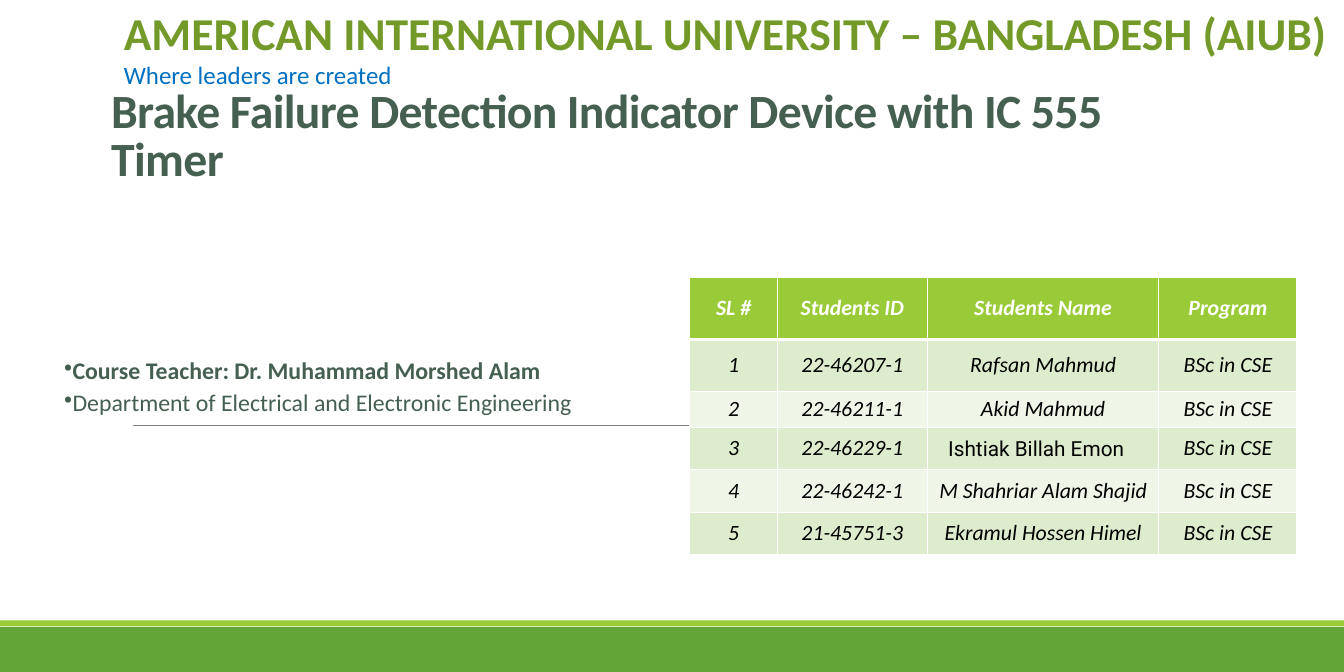
from lxml import etree
from pptx import Presentation
from pptx.dml.color import RGBColor
from pptx.enum.shapes import MSO_CONNECTOR, MSO_SHAPE
from pptx.enum.text import MSO_ANCHOR, PP_ALIGN
from pptx.oxml.ns import qn
from pptx.util import Pt

TOP, MIDDLE, BOTTOM = MSO_ANCHOR.TOP, MSO_ANCHOR.MIDDLE, MSO_ANCHOR.BOTTOM
LEFT, CENTER = PP_ALIGN.LEFT, PP_ALIGN.CENTER
RECT, STRAIGHT = MSO_SHAPE.RECTANGLE, MSO_CONNECTOR.STRAIGHT

PX = 9144  # 100 px to the inch
COLORS = {
    "white": "FFFFFF", "black": "000000", "gray": "808080", "blue": "0070C0",
    "green": "63A537", "lime": "99CB38", "olive": "739A28", "forest": "455F51",
    "band": "DEECCE", "pale": "EFF6E8",
}


def rgb(name):
    return RGBColor.from_string(COLORS[name])


class Deck:
    """Holds the presentation, the current slide and the shared style."""

    font = "Calibri"

    def __init__(self, w, h):
        self.prs = Presentation()
        self.prs.slide_width, self.prs.slide_height = w * PX, h * PX
        self.s = self.prs.slides.add_slide(self.prs.slide_layouts[6])

    def rect(self, x, y, w, h, color):
        sp = self.s.shapes.add_shape(RECT, x * PX, y * PX, w * PX, h * PX)
        sp.shadow.inherit = False
        sp.fill.solid()
        sp.fill.fore_color.rgb = rgb(color)
        sp.line.fill.background()

    def line(self, x1, y1, x2, y2, color, width):
        c = self.s.shapes.add_connector(STRAIGHT, x1 * PX, y1 * PX, x2 * PX, y2 * PX)
        c.line.color.rgb = rgb(color)
        c.line.width = Pt(width)
        etree.SubElement(c._element.spPr, qn("a:effectLst"))

    def paragraph(self, p, text, color, para=None, spacing=None, bullet=None, **font):
        for key, value in (para or {}).items():
            setattr(p, key, value)
        r = p.add_run()
        r.text = text
        for key, value in {"name": self.font, **font}.items():
            setattr(r.font, key, Pt(value) if key == "size" else value)
        r.font.color.rgb = rgb(color)
        if spacing:
            r._r.get_or_add_rPr().set("spc", str(spacing))
        if bullet:
            pPr = p._p.get_or_add_pPr()
            pPr.set("marL", "0")
            pPr.set("indent", str(-25 * PX))
            etree.SubElement(pPr, qn("a:buChar"), char=bullet)

    def text(self, x, y, w, h, anchor, paragraphs):
        tf = self.s.shapes.add_textbox(x * PX, y * PX, w * PX, h * PX).text_frame
        tf.word_wrap, tf.vertical_anchor = True, anchor
        for i, fmt in enumerate(paragraphs):
            p = tf.add_paragraph() if i else tf.paragraphs[0]
            self.paragraph(p, **fmt)

    def cell(self, cell, fill, bottom, margins, fmt):
        names = ("margin_left", "margin_top", "margin_right", "margin_bottom")
        for name, value in zip(names, margins):
            setattr(cell, name, value * PX)
        cell.vertical_anchor = MIDDLE
        tcPr = cell._tc.get_or_add_tcPr()
        for side, width in (("L", 1), ("R", 1), ("T", 1), ("B", bottom)):
            ln = etree.SubElement(tcPr, qn("a:ln" + side), w=str(Pt(width)))
            solid = etree.SubElement(ln, qn("a:solidFill"))
            etree.SubElement(solid, qn("a:srgbClr"), val=COLORS["white"])
        cell.fill.solid()
        cell.fill.fore_color.rgb = rgb(fill)
        self.paragraph(cell.text_frame.paragraphs[0], **fmt)

    def table(self, x, y, widths, heights, rows, special):
        """special maps (row, column) to margins and format overrides."""
        tbl = self.s.shapes.add_table(len(rows), len(widths), x * PX, y * PX,
                                      sum(widths) * PX, sum(heights) * PX).table
        for col, w in zip(tbl.columns, widths):
            col.width = w * PX
        for row, h in zip(tbl.rows, heights):
            row.height = h * PX
        for i, row in enumerate(rows):
            head = i == 0
            fill = "lime" if head else "band" if i % 2 else "pale"
            for j, text in enumerate(row):
                margins, extra = special.get((i, j), ((9, 4, 9, 4), {}))
                fmt = {"text": text, "color": "white" if head else "black",
                       "size": 21, "bold": head, "italic": True,
                       "para": {"alignment": CENTER}, **extra}
                self.cell(tbl.cell(i, j), fill, 3 if head else 1, margins, fmt)


HEADER = ("SL #", "Students ID", "Students Name", "Program")
STUDENTS = (
    ("22-46207-1", "Rafsan Mahmud"),
    ("22-46211-1", "Akid Mahmud"),
    ("22-46229-1", "Ishtiak Billah Emon"),
    ("22-46242-1", "M Shahriar Alam Shajid"),
    ("21-45751-3", "Ekramul Hossen Himel"),
)


def main():
    deck = Deck(1800, 900)

    # Footer bands and divider
    deck.rect(0, 840, 1800, 60, "green")
    deck.rect(0, 831, 1800, 8, "lime")
    deck.line(178, 570, 1636, 570, "gray", 0.5)

    # University heading
    deck.text(156, 1, 1641, 125, TOP, [
        {"text": "AMERICAN INTERNATIONAL UNIVERSITY – BANGLADESH (AIUB)",
         "color": "olive", "size": 44, "bold": True},
        {"text": "Where leaders are created", "color": "blue", "size": 24},
    ])

    # Project title
    deck.text(139, 81, 1451, 174, BOTTOM, [
        {"text": "Brake Failure Detection Indicator Device with IC 555 Timer",
         "color": "forest", "size": 46, "bold": True, "spacing": -60,
         "para": {"line_spacing": 0.85}},
    ])

    # Course teacher
    item = {"color": "forest", "size": 23, "bullet": "•",
            "para": {"line_spacing": 0.9, "space_after": Pt(6)}}
    deck.text(76, 308, 757, 424, MIDDLE, [
        {"text": "Course Teacher: Dr. Muhammad Morshed Alam", "bold": True, **item},
        {"text": "Department of Electrical and Electronic Engineering", **item},
    ])

    # Student table, with one name set left in its own font
    rows = [HEADER] + [(str(n), sid, name, "BSc in CSE")
                       for n, (sid, name) in enumerate(STUDENTS, 1)]
    roboto = {"name": "Roboto", "size": 20, "italic": False,
              "para": {"alignment": LEFT, "line_spacing": 1.07}}
    deck.table(924, 371, (117, 201, 310, 185), (84, 69, 48, 57, 57, 57), rows,
               {(3, 2): ((28, 0, 7, 0), roboto)})

    deck.prs.save("out.pptx")


if __name__ == "__main__":
    main()
